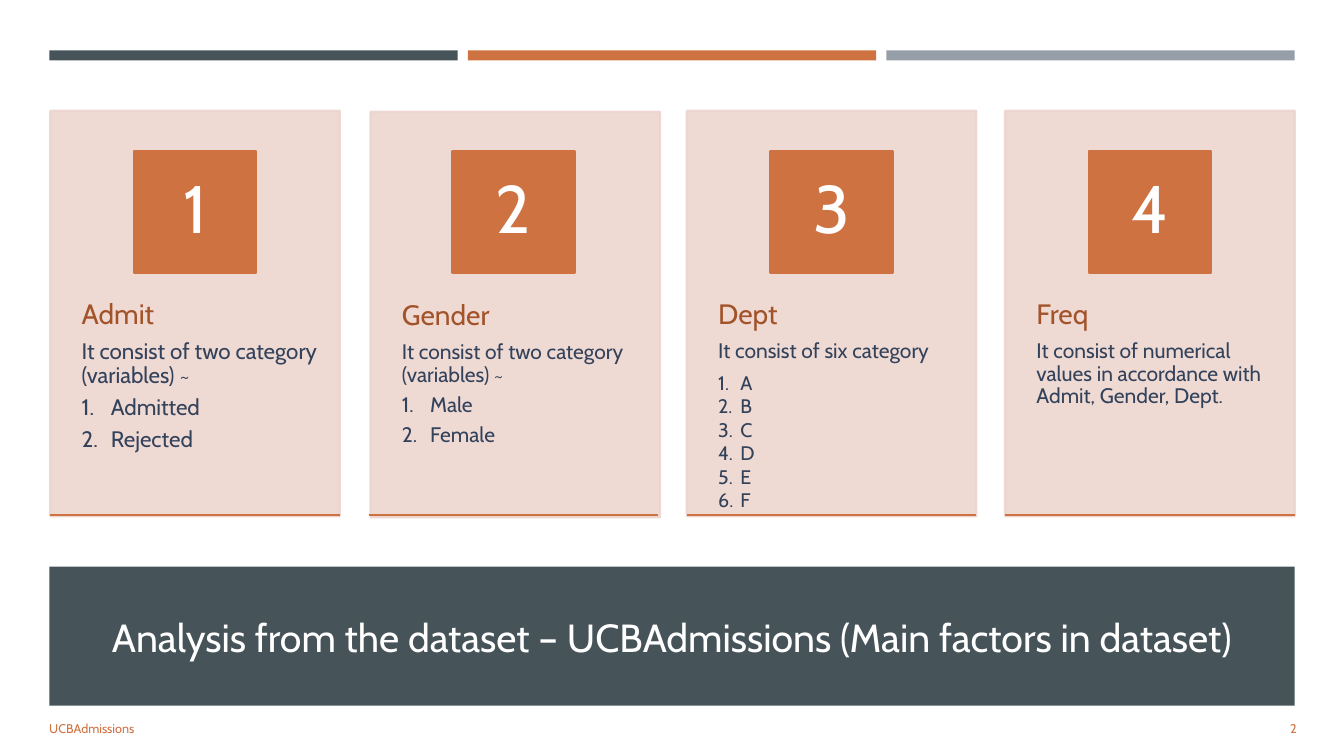
from dataclasses import dataclass

from lxml import etree
from pptx import Presentation
from pptx.dml.color import RGBColor
from pptx.enum.shapes import MSO_CONNECTOR, MSO_SHAPE
from pptx.enum.text import MSO_ANCHOR, PP_ALIGN
from pptx.oxml.ns import qn
from pptx.util import Emu, Inches, Pt

RECT, LINE = MSO_SHAPE.RECTANGLE, MSO_CONNECTOR.STRAIGHT
TOP, MIDDLE = MSO_ANCHOR.TOP, MSO_ANCHOR.MIDDLE
LEFT, CENTER, RIGHT = PP_ALIGN.LEFT, PP_ALIGN.CENTER, PP_ALIGN.RIGHT


@dataclass(frozen=True)
class Theme:
    font: str = "Cabin"
    slate: str = "465359"
    rust: str = "CE7242"
    grey: str = "969FA7"
    card: str = "EDD5CF"
    head: str = "A2532A"
    body: str = "33425B"
    white: str = "FFFFFF"
    title_size: int = 28
    badge_size: int = 48
    head_size: int = 20
    foot_size: int = 9
    line: float = 1.75


T = Theme()

TITLE = "Analysis from the dataset – UCBAdmissions (Main factors in dataset)"
FOOTER, PAGE = "UCBAdmissions", "2"
STRIPES = [T.slate, T.rust, T.grey]
# size: body points; item: list points; tight: list without gaps;
# hang: list indent; nudge: offset of the panel in inches
CARDS = [
    dict(name="Admit", text="It consist of two category (variables) ~",
         items=["Admitted", "Rejected"], size=16, item=16, tight=False,
         hang=0.29, nudge=(0, 0)),
    dict(name="Gender", text="It consist of two category (variables) ~",
         items=["Male", "Female"], size=15, item=15, tight=False,
         hang=0.28, nudge=(0.02, 0.01)),
    dict(name="Dept", text="It consist of six category",
         items=list("ABCDEF"), size=15, item=14, tight=True,
         hang=0.22, nudge=(0, 0)),
    dict(name="Freq", text="It consist of numerical values in accordance with "
         "Admit, Gender, Dept.",
         items=[], size=15, item=15, tight=False, hang=0, nudge=(0, 0)),
]

WIDE, HIGH = 13.33, 7.5
EDGE, SPAN = 0.49, 12.35
GAP = 0.1
STRIPE_W = (SPAN - GAP * (len(STRIPES) - 1)) / len(STRIPES)
CARD_X, CARD_Y, CARD_W, CARD_H = 0.5, 1.1, 2.87, 4.02
STEP = (EDGE + SPAN - CARD_X - CARD_W) / (len(CARDS) - 1)
BADGE, BADGE_Y = 1.21, 1.5
TEXT_Y, TEXT_H = 2.62, 2.41
RULE_Y = 5.11

deck = Presentation()
deck.slide_width, deck.slide_height = Inches(WIDE), Inches(HIGH)
slide = deck.slides.add_slide(deck.slide_layouts[6])


def inch(*values):
    return [Emu(Inches(v)) for v in values]


def block(at, fill, border=False, alpha=None):
    shape = slide.shapes.add_shape(RECT, *inch(*at))
    shape.shadow.inherit = False
    shape.fill.solid()
    shape.fill.fore_color.rgb = RGBColor.from_string(fill)
    if border:
        shape.line.color.rgb = RGBColor.from_string(fill)
        shape.line.width = Pt(T.line)
    else:
        shape.line.fill.background()
    if alpha:
        for color in shape.element.spPr.iter(qn("a:srgbClr")):
            etree.SubElement(color, qn("a:alpha"), val=str(alpha * 1000))
    return shape


def box(at):
    return slide.shapes.add_textbox(*inch(*at))


def write(shape, text, size, color, align=LEFT, anchor=MIDDLE, inset=None,
          leading=1.0, after=0, hang=0, more=False):
    """Set the text of a shape, or add a paragraph when more is true."""
    frame = shape.text_frame
    if more:
        para = frame.add_paragraph()
    else:
        para = frame.paragraphs[0]
        frame.word_wrap = True
        frame.vertical_anchor = anchor
        if inset:
            (frame.margin_left, frame.margin_top,
             frame.margin_right, frame.margin_bottom) = inch(*inset)
    para.alignment = align
    para.line_spacing = leading
    para.space_before, para.space_after = Pt(0), Pt(after)
    if hang:
        props = para._p.get_or_add_pPr()
        props.set("marL", str(Inches(hang)))
        props.set("indent", str(-Inches(hang)))
    run = para.add_run()
    run.text = text
    run.font.name, run.font.size = T.font, Pt(size)
    run.font.color.rgb = RGBColor.from_string(color)


def rule(x, y, width):
    line = slide.shapes.add_connector(LINE, *inch(x, y, x + width, y))
    line.line.color.rgb = RGBColor.from_string(T.rust)
    line.line.width = Pt(T.line + 0.25)
    etree.SubElement(line.element.spPr, qn("a:effectLst"))


def card(index, data):
    x = CARD_X + index * STEP
    dx, dy = data["nudge"]
    block((x + dx, CARD_Y + dy, CARD_W, CARD_H), T.card, border=True, alpha=90)

    panel = box((x + dx, TEXT_Y + dy, CARD_W, TEXT_H))
    write(panel, data["name"], T.head_size, T.head, anchor=TOP,
          inset=(0.31, 0.36, 0.22, 0.36), leading=0.9,
          after=0.35 * T.head_size)
    write(panel, data["text"], data["size"], T.body, leading=0.9,
          after=0.35 * data["size"], more=True)
    for number, item in enumerate(data["items"], 1):
        write(panel, f"{number}.\t{item}", data["item"], T.body,
              leading=1.0 if data["tight"] else 0.9,
              after=0 if data["tight"] else 0.35 * data["item"],
              hang=data["hang"], more=True)

    badge = block((x + (CARD_W - BADGE) / 2, BADGE_Y, BADGE, BADGE),
                  T.rust, border=True)
    write(badge, str(index + 1), T.badge_size, T.white, align=CENTER,
          inset=(0.09, 0.01, 0.09, 0.01), leading=0.9,
          after=0.35 * T.badge_size)
    rule(x, RULE_Y, CARD_W)


block((EDGE, 5.62, SPAN, 1.38), T.slate)
write(box((0.63, 5.79, 12.06, 1.05)), TITLE, T.title_size, T.white,
      align=CENTER)
for index, color in enumerate(STRIPES):
    block((EDGE + index * (STRIPE_W + GAP), 0.5, STRIPE_W, 0.1), color)
write(box((0.39, 7.03, 7.56, 0.4)), FOOTER, T.foot_size, T.rust)
write(box((11.81, 7.03, 1.15, 0.4)), PAGE, T.foot_size, T.rust, align=RIGHT)
for index, data in enumerate(CARDS):
    card(index, data)

deck.save("out.pptx")
